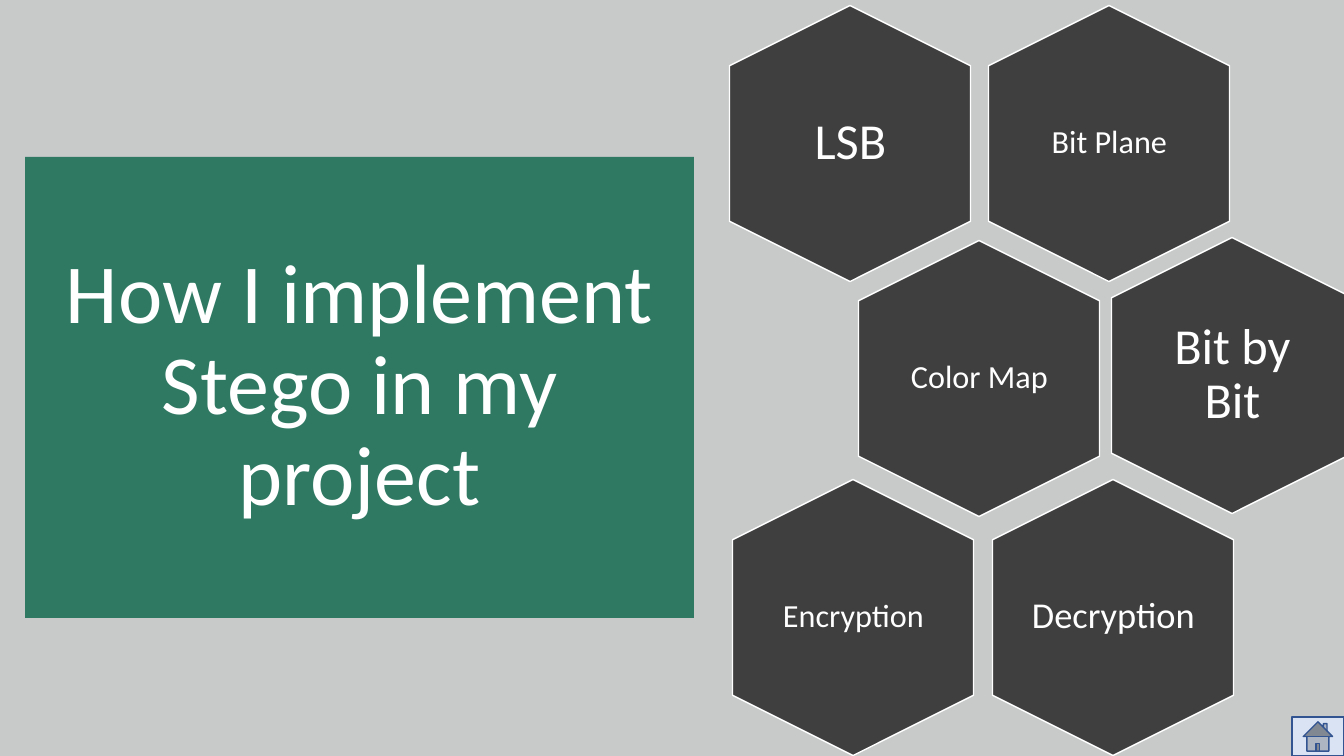
from pptx import Presentation, util as u
from pptx.dml.color import RGBColor
from pptx.enum import shapes, text


def colour(value):
    return RGBColor.from_string(value)


def px(length):
    return u.Emu(round(length * u.Inches(1) / 100.8))


class SlideBuilder:
    font = "Calibri"
    white = "FFFFFF"
    green = "2F7963"
    charcoal = "3F3F3F"
    hexagon_size = (276, 241)
    label_size = (165, 190)

    def __init__(self, deck, background):
        self.page = deck.slides.add_slide(deck.slide_layouts[5])
        fill = self.page.background.fill
        fill.solid()
        fill.fore_color.rgb = colour(background)

    def centred(self, x, y, size):
        width, height = size
        return [px(n) for n in (x - width // 2, y - height // 2, width, height)]

    def add_words(self, box, words, size):
        frame = box.text_frame
        frame.word_wrap = True
        frame.auto_size = text.MSO_AUTO_SIZE.NONE
        frame.vertical_anchor = text.MSO_ANCHOR.MIDDLE
        para = frame.paragraphs[0]
        para.alignment = text.PP_ALIGN.CENTER
        para.line_spacing = 0.9
        span = para.add_run()
        span.text = words
        span.font.name = self.font
        span.font.size = u.Pt(size)
        span.font.color.rgb = colour(self.white)

    def title(self, words, left, top, width, height, size):
        box = self.page.shapes.title
        box.left, box.top, box.width, box.height = map(px, (left, top, width, height))
        box.fill.solid()
        box.fill.fore_color.rgb = colour(self.green)
        self.add_words(box, words, size)

    def shape(self, kind, place, fill, line):
        box = self.page.shapes.add_shape(kind, *place)
        box.shadow.inherit = False
        box.fill.solid()
        box.fill.fore_color.rgb = colour(fill)
        box.line.color.rgb = colour(line)
        box.line.width = u.Pt(1)
        return box

    def hexagon(self, words, x, y, size, inset):
        place = self.centred(x, y, self.hexagon_size)
        cell = self.shape(shapes.MSO_SHAPE.HEXAGON, place, self.charcoal, self.white)
        cell.adjustments[0] = 0.25
        cell.rotation = 90
        label = self.page.shapes.add_textbox(*self.centred(x, y, self.label_size))
        frame = label.text_frame
        frame.margin_left = frame.margin_right = px(inset)
        frame.margin_top = frame.margin_bottom = px(inset)
        self.add_words(label, words, size)

    def home_button(self, left, top, width, height):
        place = map(px, (left, top, width, height))
        self.shape(shapes.MSO_SHAPE.ACTION_BUTTON_HOME, place, "DAE3F3", "325491")


def main():
    deck = Presentation()
    deck.slide_width, deck.slide_height = px(1344), px(756)
    slide = SlideBuilder(deck, "C8CACA")
    slide.title("How I implement Stego in my project", 25, 157, 669, 461, 60)
    topics = [
        ("Bit Plane", 1109, 143, 23, 10),
        ("LSB", 850, 143, 36, 0),
        ("Color Map", 979, 378, 23, 10),
        ("Bit by Bit", 1232, 375, 36, 0),
        ("Encryption", 853, 617, 23, 10),
        ("Decryption", 1113, 617, 26, 0),
    ]
    for topic in topics:
        slide.hexagon(*topic)
    slide.home_button(1292, 717, 52, 39)
    deck.save("out.pptx")


if __name__ == "__main__":
    main()
